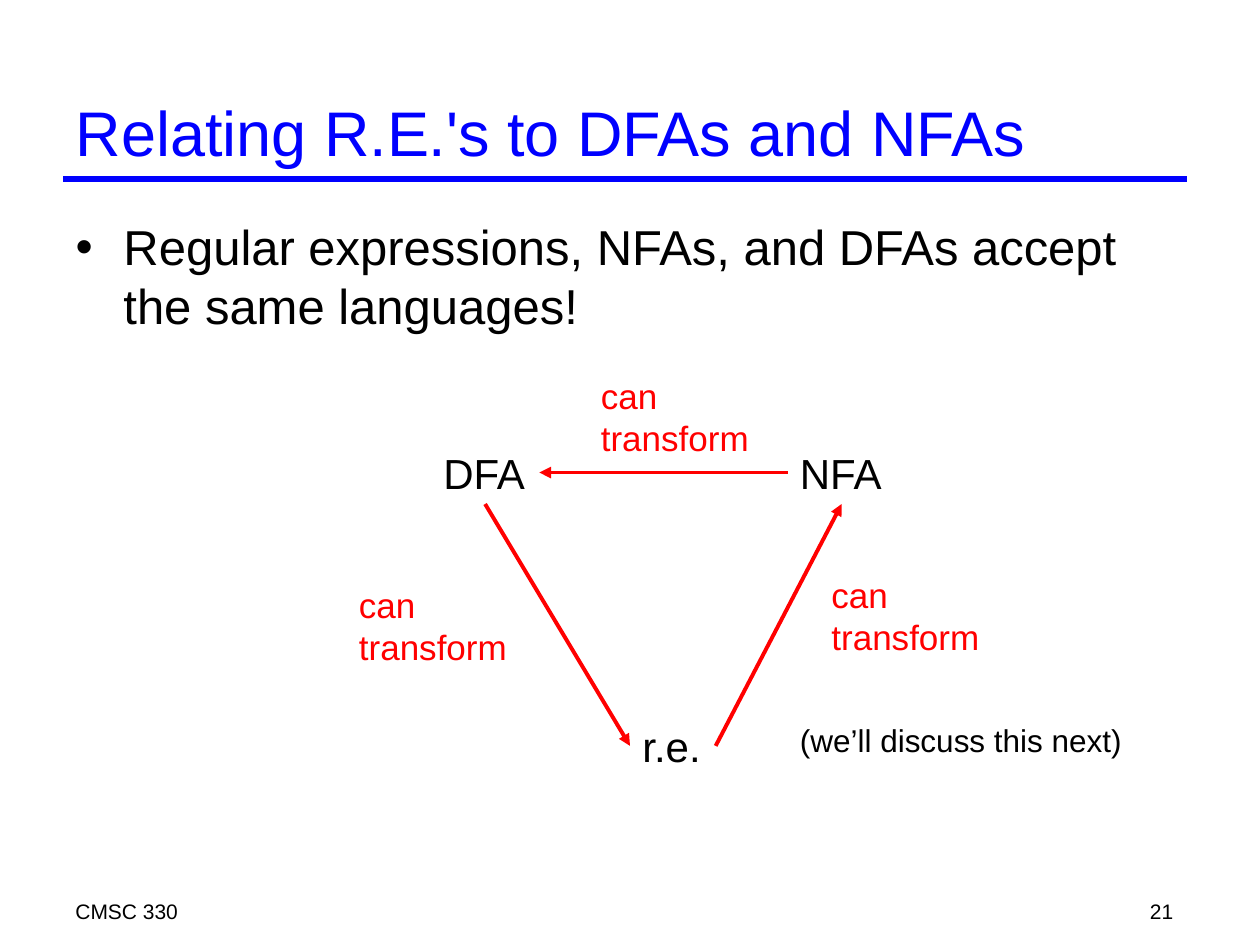
from lxml.etree import SubElement
from pptx import Presentation
from pptx.dml.color import RGBColor
from pptx.enum.shapes import MSO_CONNECTOR
from pptx.enum.text import MSO_ANCHOR, MSO_AUTO_SIZE, PP_ALIGN
from pptx.oxml.ns import qn
from pptx.util import Inches, Pt

COLORS = {"heading": "0000FF", "text": "000000", "transform": "FF0000"}
FONT = "Arial"


def add_run(paragraph, text, size, color):
    """Append one formatted run to a paragraph."""
    run = paragraph.add_run()
    run.text = text
    run.font.name = FONT
    run.font.size = Pt(size)
    run.font.color.rgb = RGBColor.from_string(COLORS[color])


def place(holder, left, top, width, height):
    """Move and size a placeholder."""
    holder.left, holder.top = Inches(left), Inches(top)
    holder.width, holder.height = Inches(width), Inches(height)


def fill_title(title, text):
    """Write the slide heading."""
    place(title, 0.5, 0.67, 8.92, 0.75)
    frame = title.text_frame
    frame.auto_size = MSO_AUTO_SIZE.NONE
    frame.vertical_anchor = MSO_ANCHOR.MIDDLE
    heading = frame.paragraphs[0]
    heading.alignment = PP_ALIGN.LEFT
    add_run(heading, text, 36, "heading")


def fill_body(body, text):
    """Write the bulleted statement."""
    place(body, 0.5, 1.67, 8.92, 5.33)
    body.text_frame.auto_size = MSO_AUTO_SIZE.NONE
    statement = body.text_frame.paragraphs[0]
    statement.space_before = Pt(5.6)
    add_run(statement, text, 28, "text")
    properties = statement._p.get_or_add_pPr()
    properties.set("marL", str(Inches(0.38)))
    properties.set("indent", str(Inches(-0.38)))
    SubElement(properties, qn("a:buFont"), typeface=FONT)
    SubElement(properties, qn("a:buChar"), char="•")


def add_label(slide, lines, box, size, color="text", wrap=False,
              align=PP_ALIGN.LEFT, before=0):
    """Add a text box with one paragraph per line."""
    label = slide.shapes.add_textbox(*map(Inches, box))
    frame = label.text_frame
    frame.word_wrap = wrap
    for index, line in enumerate(lines):
        paragraph = frame.add_paragraph() if index else frame.paragraphs[0]
        paragraph.alignment = align
        paragraph.space_before = Pt(before)
        add_run(paragraph, line, size, color)


def add_line(slide, start, end, color, width, arrow=False):
    """Draw a straight line, with an arrowhead at its end if asked."""
    line = slide.shapes.add_connector(
        MSO_CONNECTOR.STRAIGHT, *map(Inches, start + end))
    line.line.color.rgb = RGBColor.from_string(COLORS[color])
    line.line.width = Pt(width)
    if arrow:
        SubElement(line.line._get_or_add_ln(), qn("a:tailEnd"), type="triangle")
    SubElement(line._element.spPr, qn("a:effectLst"))


def main():
    """Build the slide and save it."""
    deck = Presentation()
    deck.slide_width, deck.slide_height = Inches(10), Inches(7.5)
    slide = deck.slides.add_slide(deck.slide_layouts[1])

    add_line(slide, (0.5, 1.42), (9.42, 1.42), "heading", 3)
    fill_title(slide.shapes.title, "Relating R.E.'s to DFAs and NFAs")
    fill_body(slide.placeholders[1],
              "Regular expressions, NFAs, and DFAs accept the same languages!")

    for name, left, top, width in (("DFA", 3.42, 3.5, 0.87),
                                   ("NFA", 6.25, 3.5, 0.87),
                                   ("r.e.", 5, 5.67, 0.68)):
        add_label(slide, [name], (left, top, width, 0.5), 24)

    for start, end in (((5.68, 5.92), (6.68, 4)),
                       ((6.25, 3.75), (4.28, 3.75)),
                       ((3.85, 4), (5, 5.92))):
        add_line(slide, start, end, "transform", 2.25, arrow=True)

    for left, top in ((6.5, 4.5), (4.67, 2.92), (2.75, 4.58)):
        add_label(slide, ["can", "transform"], (left, top, 1.38, 0.77),
                  20, "transform")

    add_label(slide, ["(we’ll discuss this next)"], (6.25, 5.67, 3.56, 0.4),
              18, wrap=True, before=9)
    add_label(slide, ["CMSC 330"], (0.5, 7.08, 6.08, 0.25), 12, wrap=True)
    add_label(slide, ["21"], (7.33, 7.08, 2.08, 0.25), 12, wrap=True,
              align=PP_ALIGN.RIGHT)

    deck.save("out.pptx")


main()
